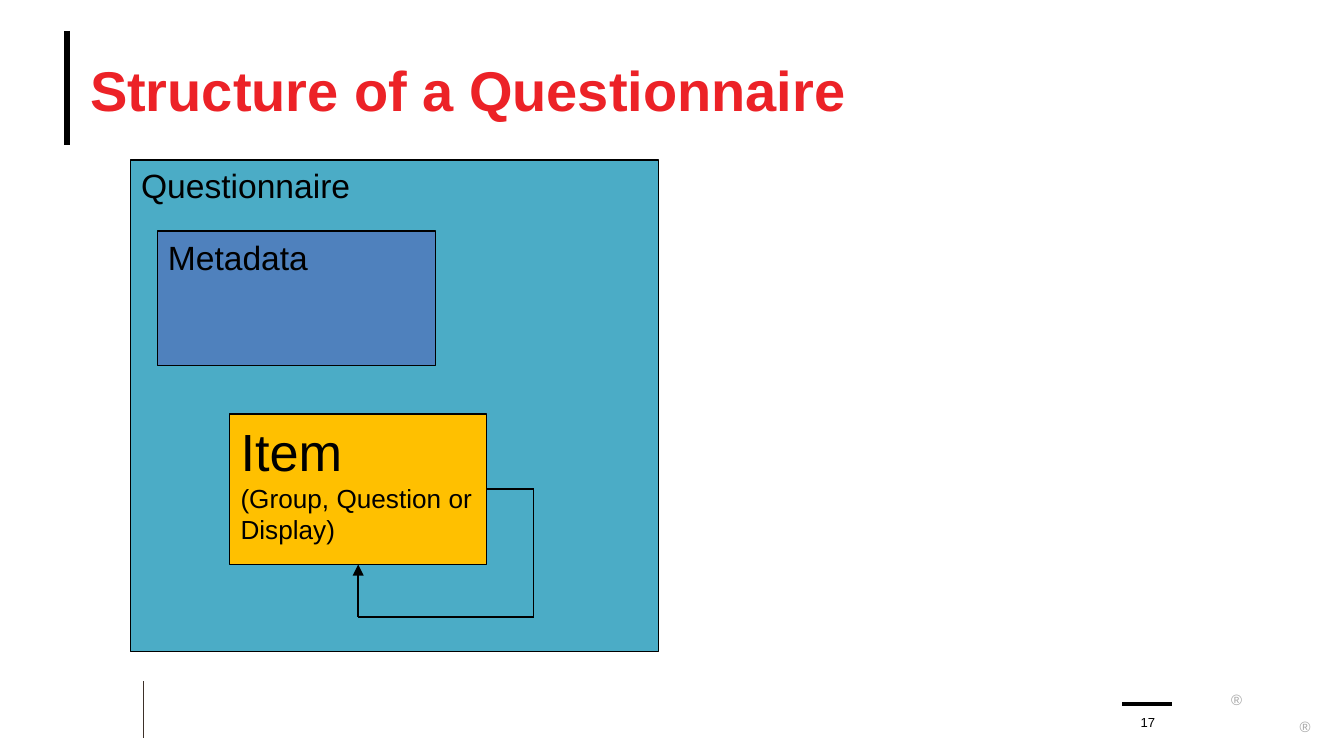
import pptx
import pptx.dml.color
import pptx.enum.shapes
import pptx.enum.text
import pptx.util
from lxml import etree
from pptx.oxml.ns import qn

Inches = pptx.util.Inches
Pt = pptx.util.Pt
Align = pptx.enum.text.PP_ALIGN
Anchor = pptx.enum.text.MSO_ANCHOR

BLACK, RED, GREY, BROWN = "000000", "EC2227", "A6A6A6", "3D3029"
TEAL, BLUE, AMBER = "4BACC6", "4F81BD", "FFC000"


def color(hex_text):
    return pptx.dml.color.RGBColor.from_string(hex_text)


def write(paragraph, text, size=18, fill=BLACK, bold=False, align=Align.LEFT):
    paragraph.alignment = align
    run = paragraph.add_run()
    run.text = text
    run.font.name = "Arial"
    run.font.size = Pt(size)
    run.font.bold = bold
    run.font.color.rgb = color(fill)


def set_frame(frame, anchor=Anchor.TOP, insets=(0, 0, 0, 0)):
    frame.word_wrap = True
    frame.auto_size = pptx.enum.text.MSO_AUTO_SIZE.NONE
    frame.vertical_anchor = anchor
    frame.margin_left, frame.margin_top, frame.margin_right, frame.margin_bottom = map(Inches, insets)


class Deck:
    box_insets = (0.08, 0.04, 0.07, 0.04)
    outline = 0.75

    def __init__(self, width, height):
        self.presentation = pptx.Presentation()
        self.presentation.slide_width = Inches(width)
        self.presentation.slide_height = Inches(height)
        self.slide = self.presentation.slides.add_slide(self.presentation.slide_layouts[5])

    def title(self, text, at):
        heading = self.slide.shapes.title
        heading.left, heading.top, heading.width, heading.height = map(Inches, at)
        set_frame(heading.text_frame, anchor=Anchor.MIDDLE)
        write(heading.text_frame.paragraphs[0], text, size=30, fill=RED, bold=True)

    def label(self, text, at, anchor=Anchor.TOP, insets=(0, 0, 0, 0), **style):
        label = self.slide.shapes.add_textbox(*map(Inches, at))
        set_frame(label.text_frame, anchor, insets)
        write(label.text_frame.paragraphs[0], text, **style)

    def box(self, at, fill, lines):
        box = self.slide.shapes.add_shape(pptx.enum.shapes.MSO_SHAPE.RECTANGLE, *map(Inches, at))
        box.shadow.inherit = False
        box.fill.solid()
        box.fill.fore_color.rgb = color(fill)
        box.line.color.rgb = color(BLACK)
        box.line.width = Pt(self.outline)
        set_frame(box.text_frame, insets=self.box_insets)
        for index, (text, size) in enumerate(lines):
            paragraph = box.text_frame.add_paragraph() if index else box.text_frame.paragraphs[0]
            write(paragraph, text, size=size)

    def line(self, start, end, width=outline, stroke=BLACK, arrow=False):
        line = self.slide.shapes.add_connector(
            pptx.enum.shapes.MSO_CONNECTOR.STRAIGHT, *map(Inches, (*start, *end)))
        line.line.color.rgb = color(stroke)
        line.line.width = Pt(width)
        properties = line.line._get_or_add_ln()
        if arrow:
            etree.SubElement(properties, qn("a:tailEnd"), type="triangle")
        etree.SubElement(properties.getparent(), qn("a:effectLst"))


def main():
    # A 16:9 page
    deck = Deck(10, 10 * 9 / 16)

    # Page rules and registered marks
    deck.line((0.5, 0.23), (0.5, 1.08), width=3.25)
    deck.line((1.07, 5.07), (1.07, 5.49), width=0.5, stroke=BROWN)
    for mark_at in ((9.16, 5.1, 0.11, 0.09), (9.67, 5.3, 0.09, 0.09)):
        deck.label("®", mark_at, insets=(0, 0.04, 0, 0), size=8, fill=GREY)
    deck.line((8.35, 5.24), (8.72, 5.24), width=2)

    # Questionnaire, behind the parts it contains
    deck.box((0.97, 1.19, 3.93, 3.66), TEAL, [("Questionnaire", 18)])

    # Title and page number
    deck.title("Structure of a Questionnaire", (0.67, 0.23, 9, 0.86))
    deck.label("17", (8.39, 5.24, 0.3, 0.19), anchor=Anchor.BOTTOM, size=7, align=Align.CENTER)

    # Parts of the questionnaire
    deck.box((1.17, 1.72, 2.07, 1), BLUE, [("Metadata", 18)])
    left, top, width, height = item = (1.71, 3.08, 1.91, 1.12)
    deck.box(item, AMBER, [("Item", 28), ("(Group, Question or", 14), ("Display)", 14)])

    # Loop from the item's right side back to its bottom: items nest
    center, middle = left + width / 2, top + height / 2
    loop_right, loop_bottom = 3.97, 4.59
    corners = [(left + width, middle), (loop_right, middle), (loop_right, loop_bottom),
               (center, loop_bottom), (center, top + height)]
    for start, end in zip(corners, corners[1:]):
        deck.line(start, end, arrow=end == corners[-1])

    deck.presentation.save("out.pptx")


if __name__ == "__main__":
    main()
